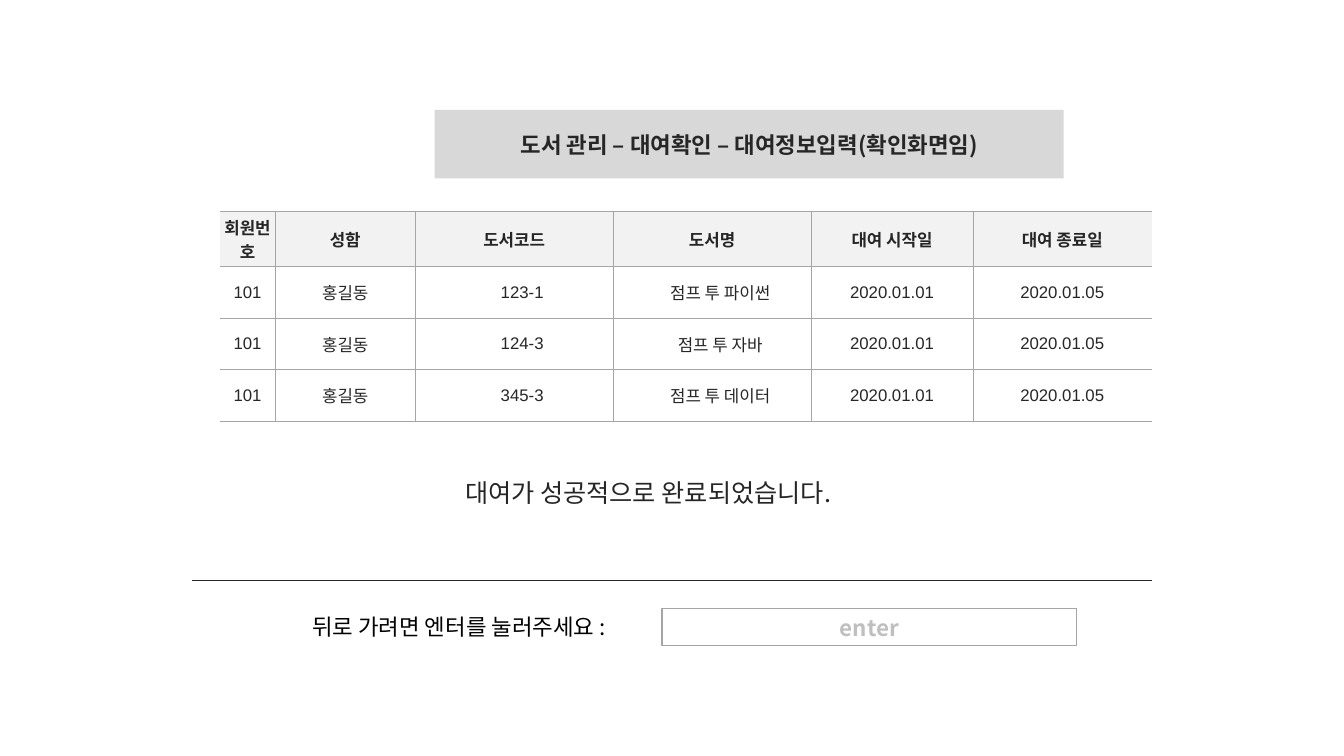
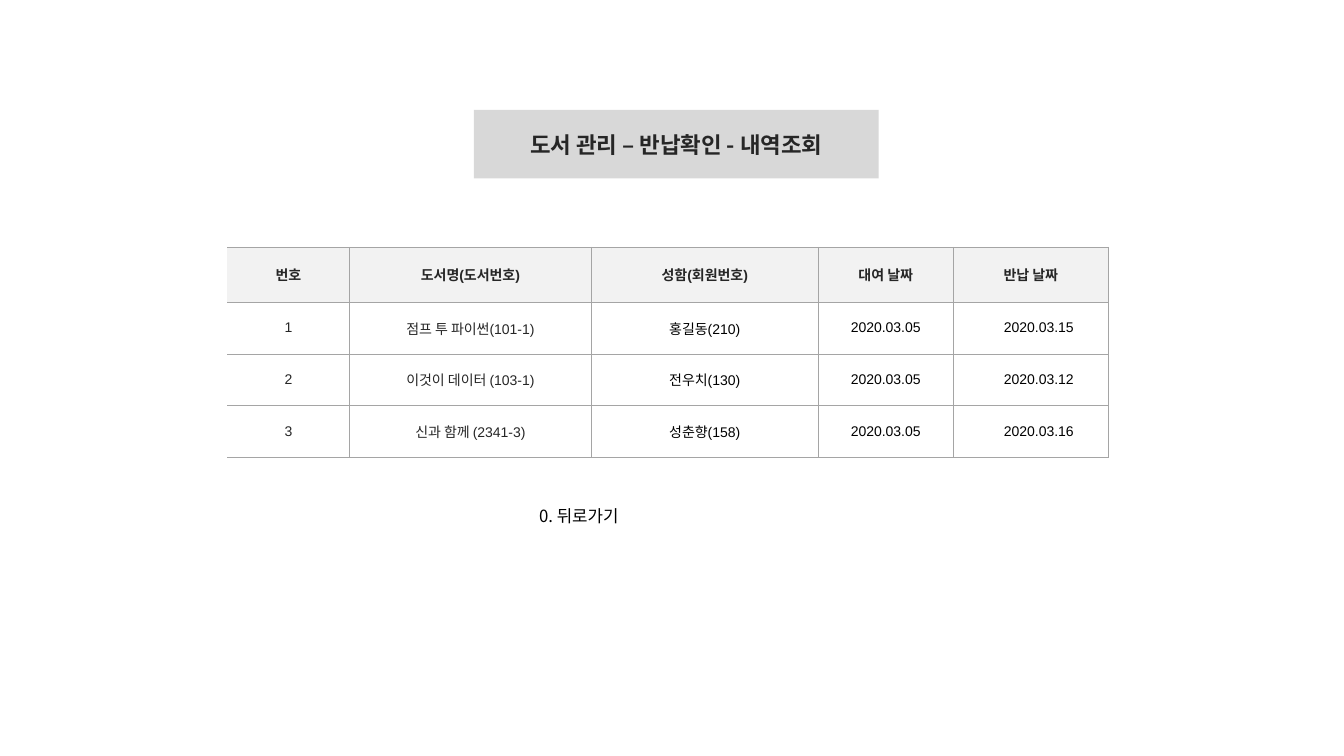
from lxml.etree import SubElement
from pptx import Presentation
from pptx.dml.color import RGBColor
from pptx.enum.shapes import MSO_CONNECTOR, MSO_SHAPE
from pptx.enum.text import MSO_ANCHOR as ANCHOR, MSO_AUTO_SIZE, PP_ALIGN as ALIGN
from pptx.oxml.ns import qn
from pptx.util import Pt

COLORS = {
    "band": "D8D8D8", "header": "F2F2F2", "white": "FFFFFF", "border": "A5A5A5",
    "dark": "262626", "black": "000000", "hint": "BFBFBF",
}
KOREAN, LATIN = "Noto Sans CJK KR", "Arial"
TITLE_TOP, TITLE_HEIGHT = 78.5, 49
HEADER_HEIGHT, ROW_HEIGHT = 39.4, 36.9
CELL_INDENT = 11.5


def rgb(name):
    return RGBColor.from_string(COLORS[name])


class Deck:
    def __init__(self):
        self.prs = Presentation()
        self.prs.slide_width, self.prs.slide_height = Pt(960), Pt(540)

    def new_slide(self, title, left, width):
        self.slide = self.prs.slides.add_slide(self.prs.slide_layouts[5])
        sp = self.slide.shapes.title
        sp.left, sp.top = Pt(left), Pt(TITLE_TOP)
        sp.width, sp.height = Pt(width), Pt(TITLE_HEIGHT)
        self.fill(sp, "band")
        sp.text_frame.auto_size = MSO_AUTO_SIZE.NONE
        sp.text_frame.vertical_anchor = ANCHOR.MIDDLE
        self.set_text(sp.text_frame, title, 16, bold=True, align=ALIGN.CENTER)

    def fill(self, target, color):
        target.fill.solid()
        target.fill.fore_color.rgb = rgb(color)

    def set_text(self, tf, text, size, color="dark", bold=False, align=ALIGN.LEFT, font=KOREAN):
        tf.word_wrap = True
        p = tf.paragraphs[0]
        p.text, p.alignment = text, align
        p.font.size, p.font.bold, p.font.name = Pt(size), bold, font
        p.font.color.rgb = rgb(color)
        SubElement(p._p.pPr.find(qn("a:defRPr")), qn("a:ea"), typeface=KOREAN)

    def text(self, text, left, top, width, height, size, **style):
        sp = self.slide.shapes.add_textbox(Pt(left), Pt(top), Pt(width), Pt(height))
        self.set_text(sp.text_frame, text, size, **style)

    def input_box(self, hint, left, top, width, height):
        sp = self.slide.shapes.add_shape(
            MSO_SHAPE.RECTANGLE, Pt(left), Pt(top), Pt(width), Pt(height))
        sp.shadow.inherit = False
        self.fill(sp, "white")
        sp.line.color.rgb, sp.line.width = rgb("border"), Pt(1)
        sp.text_frame.vertical_anchor = ANCHOR.MIDDLE
        self.set_text(sp.text_frame, hint, 16, "hint", bold=True, align=ALIGN.CENTER)

    def rule(self, left, right, y):
        line = self.slide.shapes.add_connector(
            MSO_CONNECTOR.STRAIGHT, Pt(left), Pt(y), Pt(right), Pt(y))
        line.line.color.rgb, line.line.width = rgb("dark"), Pt(0.75)
        SubElement(line._element.spPr, qn("a:effectLst"))

    def borders(self, cell, open_sides):
        tc_pr = cell._tc.get_or_add_tcPr()
        for side in "LRTB":
            ln = SubElement(tc_pr, qn(f"a:ln{side}"), w=str(Pt(0.75)))
            if side in open_sides:
                SubElement(ln, qn("a:noFill"))
            else:
                solid = SubElement(ln, qn("a:solidFill"))
                SubElement(solid, qn("a:srgbClr"), val=COLORS["border"])

    def table(self, rows, left, top, widths, size, indented=(), black=(), right_open=False):
        """Draw a table open on the left; indented and black list body columns."""
        height = HEADER_HEIGHT + ROW_HEIGHT * (len(rows) - 1)
        table = self.slide.shapes.add_table(
            len(rows), len(widths), Pt(left), Pt(top), Pt(sum(widths)), Pt(height)).table
        table.first_row = table.horz_banding = False
        for column, width in zip(table.columns, widths):
            column.width = Pt(width)
        last = len(widths) - 1
        for i, values in enumerate(rows):
            header = i == 0
            table.rows[i].height = Pt(HEADER_HEIGHT if header else ROW_HEIGHT)
            for j, value in enumerate(values):
                cell = table.cell(i, j)
                open_sides = ("L" if j == 0 else "") + ("R" if right_open and j == last else "")
                self.borders(cell, open_sides)
                self.fill(cell, "header" if header else "white")
                cell.margin_right = cell.margin_top = cell.margin_bottom = 0
                cell.margin_left = Pt(CELL_INDENT if not header and j in indented else 0)
                cell.vertical_anchor = ANCHOR.MIDDLE
                color = "black" if not header and j in black else "dark"
                self.set_text(cell.text_frame, value, size, color, header, ALIGN.CENTER, LATIN)


def rental_confirmed(deck):
    deck.new_slide("도서 관리 – 대여확인 – 대여정보입력(확인화면임)", 310.5, 449.3)
    books = [("123-1", "점프 투 파이썬"), ("124-3", "점프 투 자바"), ("345-3", "점프 투 데이터")]
    rows = [("회원번호", "성함", "도서코드", "도서명", "대여 시작일", "대여 종료일")]
    rows += [("101", "홍길동", code, name, "2020.01.01", "2020.01.05") for code, name in books]
    deck.table(rows, 157, 151, (39.6, 100, 141.4, 141.4, 115.7, 127.5), 12,
               indented=(2, 3), right_open=True)
    deck.text("대여가 성공적으로 완료되었습니다.", 311, 337.7, 303.8, 29, 18, align=ALIGN.CENTER)
    deck.rule(137.5, 823, 414.7)
    deck.text("뒤로 가려면 엔터를 눌러주세요 :", 216, 434.7, 256.3, 26.6, 16, color="black")
    deck.input_box("enter", 473, 434.7, 296, 26.6)


def return_history(deck):
    deck.new_slide("도서 관리 – 반납확인 - 내역조회", 338.4, 289.3)
    rows = [
        ("번호", "도서명(도서번호)", "성함(회원번호)", "대여 날짜", "반납 날짜"),
        ("1", "점프 투 파이썬(101-1)", "홍길동(210)", "2020.03.05", "2020.03.15"),
        ("2", "이것이 데이터 (103-1)", "전우치(130)", "2020.03.05", "2020.03.12"),
        ("3", "신과 함께 (2341-3)", "성춘향(158)", "2020.03.05", "2020.03.16"),
    ]
    deck.table(rows, 162.4, 176.6, (87.2, 172.8, 162, 96.5, 110.8), 10,
               indented=(4,), black=(2, 3, 4))
    deck.text("0. 뒤로가기", 378, 357.8, 76.3, 21.6, 12, color="black")


def main():
    deck = Deck()
    rental_confirmed(deck)
    return_history(deck)
    deck.prs.save("out.pptx")


if __name__ == "__main__":
    main()
